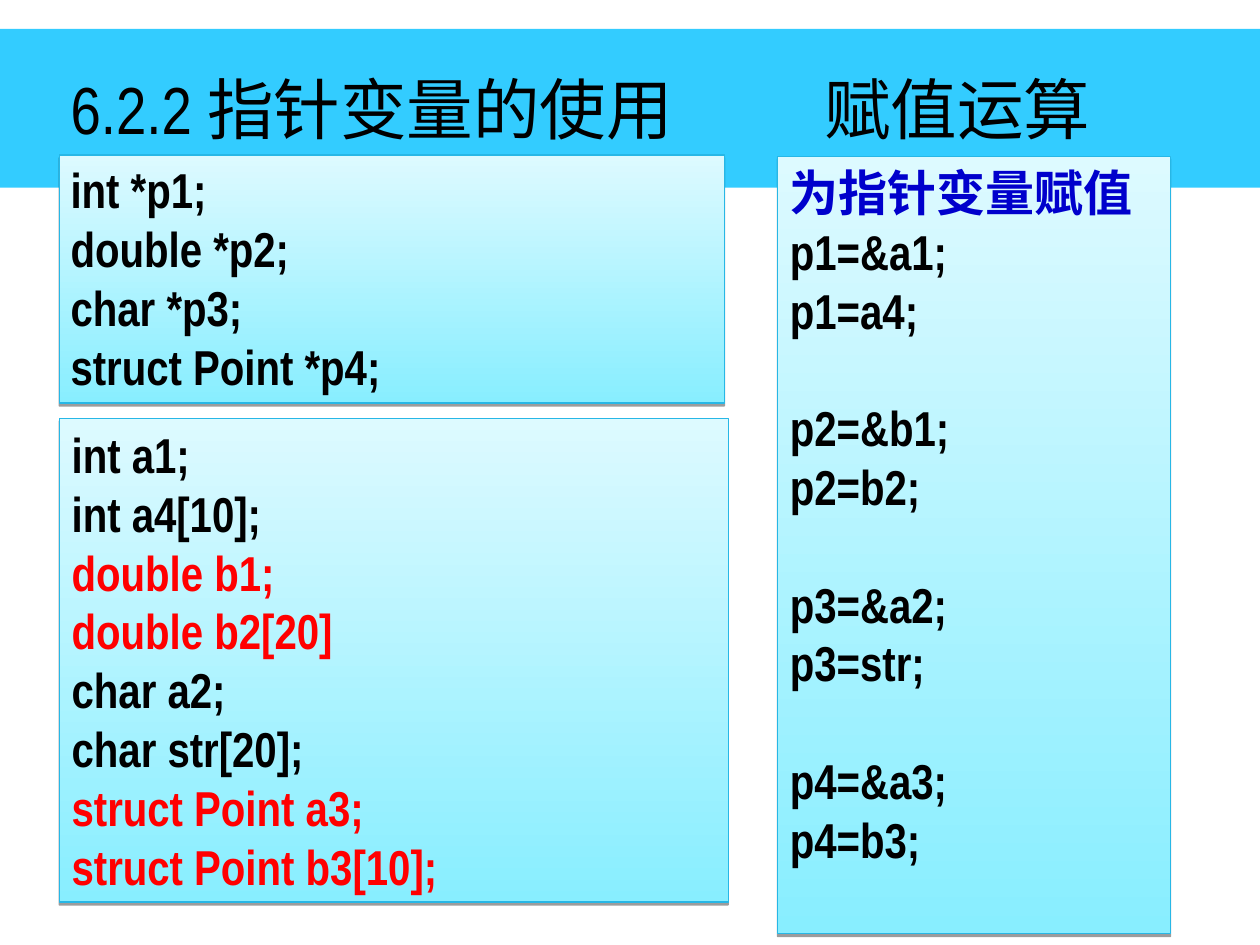
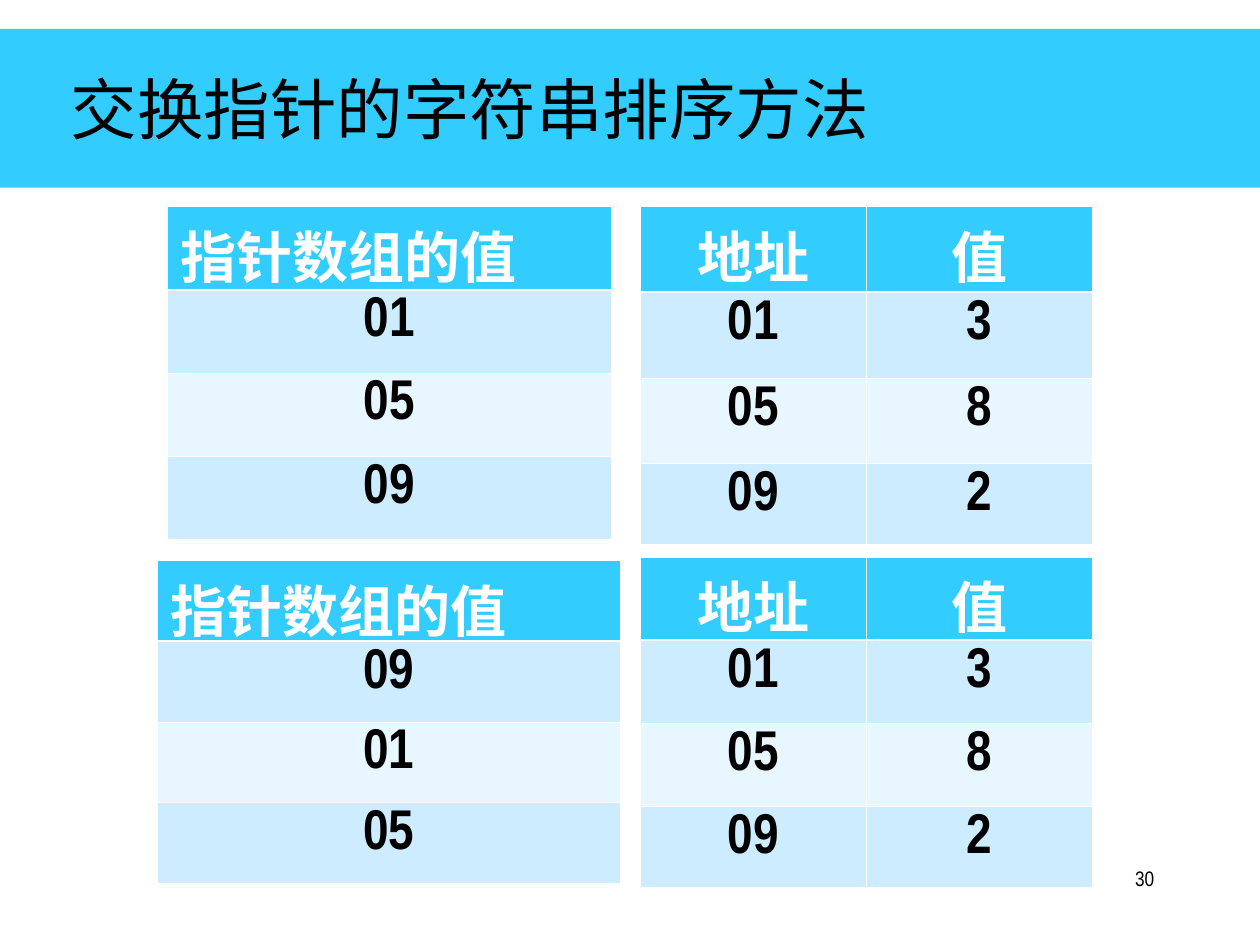
from lxml.etree import SubElement
from pptx import Presentation
from pptx.dml.color import RGBColor
from pptx.enum.shapes import MSO_SHAPE as Shape
from pptx.enum.text import MSO_ANCHOR as Anchor, MSO_AUTO_SIZE as AutoSize, PP_ALIGN as Align
from pptx.oxml.ns import qn
from pptx.util import Inches, Pt

FONT = "Arial Narrow"
BLACK, WHITE, RED, BLUE = "000000", "FFFFFF", "FF0000", "0000CC"
BAND = "33CCFF"
PANEL_TOP, PANEL_BOTTOM, PANEL_LINE = "DDFAFF", "88EEFF", "27B7E6"
ROW_FILLS = ("E8F6FF", "CDECFF")
CODE_LINE = 33.6


def rgb(value):
    return RGBColor.from_string(value)


def inches(*values):
    return [Inches(value) for value in values]


def style(para, size, color=BLACK, bold=False, align=Align.LEFT):
    para.alignment = align
    para.font.name = FONT
    para.font.size = Pt(size)
    para.font.bold = bold
    para.font.color.rgb = rgb(color)


def set_margins(frame, side, edge):
    frame.margin_left = frame.margin_right = Inches(side)
    frame.margin_top = frame.margin_bottom = Inches(edge)
    frame.word_wrap = True


def add_page(deck, title, tab=None):
    page = deck.slides.add_slide(deck.slide_layouts[5])
    band = page.shapes.add_shape(Shape.RECTANGLE, *inches(0, 0.23, 10, 1.26))
    band.shadow.inherit = False
    band.fill.solid()
    band.fill.fore_color.rgb = rgb(BAND)
    band.line.fill.background()
    holder = page.shapes.title
    holder._element.addprevious(band._element)
    holder.left, holder.top, holder.width, holder.height = inches(0.47, 0.23, 8.5, 1.25)
    frame = holder.text_frame
    set_margins(frame, 0.09, 0.04)
    frame.auto_size = AutoSize.NONE
    frame.vertical_anchor = Anchor.MIDDLE
    frame.text = title
    para = frame.paragraphs[0]
    if tab:
        tabs = SubElement(para._p.get_or_add_pPr(), qn("a:tabLst"))
        SubElement(tabs, qn("a:tab"), pos=str(Inches(tab)), algn="l")
    style(para, 38)
    return page


def add_shadow(shape):
    shape.shadow.inherit = False
    effects = shape._element.spPr.find(qn("a:effectLst"))
    shadow = SubElement(effects, qn("a:outerShdw"), dist=str(Pt(1.6)), dir="5400000", rotWithShape="0")
    color = SubElement(shadow, qn("a:srgbClr"), val=BLACK)
    SubElement(color, qn("a:alpha"), val="38000")


def add_code_panel(page, box, groups, margins=(0.1, 0.05), group_gap=0):
    panel = page.shapes.add_shape(Shape.RECTANGLE, *inches(*box))
    panel.fill.gradient()
    panel.fill.gradient_angle = 270
    for stop, color in zip(panel.fill.gradient_stops, (PANEL_TOP, PANEL_BOTTOM)):
        stop.color.rgb = rgb(color)
    panel.line.color.rgb = rgb(PANEL_LINE)
    panel.line.width = Pt(0.75)
    add_shadow(panel)
    frame = panel.text_frame
    set_margins(frame, *margins)
    frame.vertical_anchor = Anchor.TOP
    lines = [(color, text, index > 0 and row == 0)
             for index, (color, texts) in enumerate(groups)
             for row, text in enumerate(texts)]
    frame.text = "\n".join(text for _, text, _ in lines)
    for para, (color, _, starts_group) in zip(frame.paragraphs, lines):
        if starts_group and group_gap and color == BLACK and para.text != "p1=&a1;":
            para.space_before = Pt(group_gap)
        style(para, 28, color, bold=True)


def set_borders(cell, top, bottom):
    props = cell._tc.get_or_add_tcPr()
    for side, width in (("L", 0.45), ("R", 0.45), ("T", top), ("B", bottom)):
        line = SubElement(props, qn(f"a:ln{side}"), w=str(Pt(width)))
        fill = SubElement(line, qn("a:solidFill"))
        SubElement(fill, qn("a:srgbClr"), val=WHITE)


def add_value_table(page, box, rows, row_height, last_height, header_align=Align.CENTER):
    columns = len(rows[0])
    table = page.shapes.add_table(len(rows), columns, *inches(*box)).table
    for column in table.columns:
        column.width = Inches(box[2] / columns)
    for index, values in enumerate(rows):
        is_header = index == 0
        is_last = index == len(rows) - 1
        table.rows[index].height = Inches(last_height if is_last else row_height)
        for cell, value in zip(table.rows[index].cells, values):
            set_borders(cell, 1.47 if index == 1 else 0.45, 1.47 if is_header else 0.45)
            cell.fill.solid()
            cell.fill.fore_color.rgb = rgb(BAND if is_header else ROW_FILLS[index % 2])
            cell.text = value
            style(cell.text_frame.paragraphs[0], 32, WHITE if is_header else BLACK, True,
                  header_align if is_header else Align.CENTER)


def add_page_number(page, number):
    box = page.shapes.add_textbox(*inches(7.17, 6.83, 2.08, 0.5))
    set_margins(box.text_frame, 0.09, 0.04)
    box.text_frame.text = number
    style(box.text_frame.paragraphs[0], 12, align=Align.RIGHT)


def build_assignment(deck):
    page = add_page(deck, "6.2.2 指针变量的使用\t赋值运算", tab=5.98)
    add_code_panel(page, (0.47, 1.23, 5.28, 1.97), [
        (BLACK, ["int *p1;", "double *p2;", "char *p3;", "struct Point *p4;"]),
    ], margins=(0.09, 0.04))
    add_code_panel(page, (0.47, 3.32, 5.31, 3.84), [
        (BLACK, ["int a1;", "int a4[10];"]),
        (RED, ["double b1;", "double b2[20]"]),
        (BLACK, ["char a2;", "char str[20];"]),
        (RED, ["struct Point a3;", "struct Point b3[10];"]),
    ])
    add_code_panel(page, (6.17, 1.24, 3.12, 6.17), [
        (BLUE, ["为指针变量赋值"]),
        (BLACK, ["p1=&a1;", "p1=a4;"]),
        (BLACK, ["p2=&b1;", "p2=b2;"]),
        (BLACK, ["p3=&a2;", "p3=str;"]),
        (BLACK, ["p4=&a3;", "p4=b3;"]),
    ], group_gap=CODE_LINE)


def build_sorting(deck):
    page = add_page(deck, "交换指针的字符串排序方法")
    add_page_number(page, "30")
    memory = [("地址", "值"), ("01", "3"), ("05", "8"), ("09", "2")]
    before, after = ([("指针数组的值",)] + [(address,) for address in order]
                     for order in (("01", "05", "09"), ("09", "01", "05")))
    add_value_table(page, (5.08, 1.64, 3.59, 2.67), memory, 0.68, 0.64)
    add_value_table(page, (1.33, 1.64, 3.52, 2.66), before, 0.66, 0.66, Align.LEFT)
    add_value_table(page, (1.25, 4.45, 3.67, 2.58), after, 0.64, 0.64, Align.LEFT)
    add_value_table(page, (5.08, 4.42, 3.59, 2.61), memory, 0.66, 0.64)


def main():
    deck = Presentation()
    deck.slide_width, deck.slide_height = inches(10, 7.5)
    build_assignment(deck)
    build_sorting(deck)
    deck.save("out.pptx")


if __name__ == "__main__":
    main()
